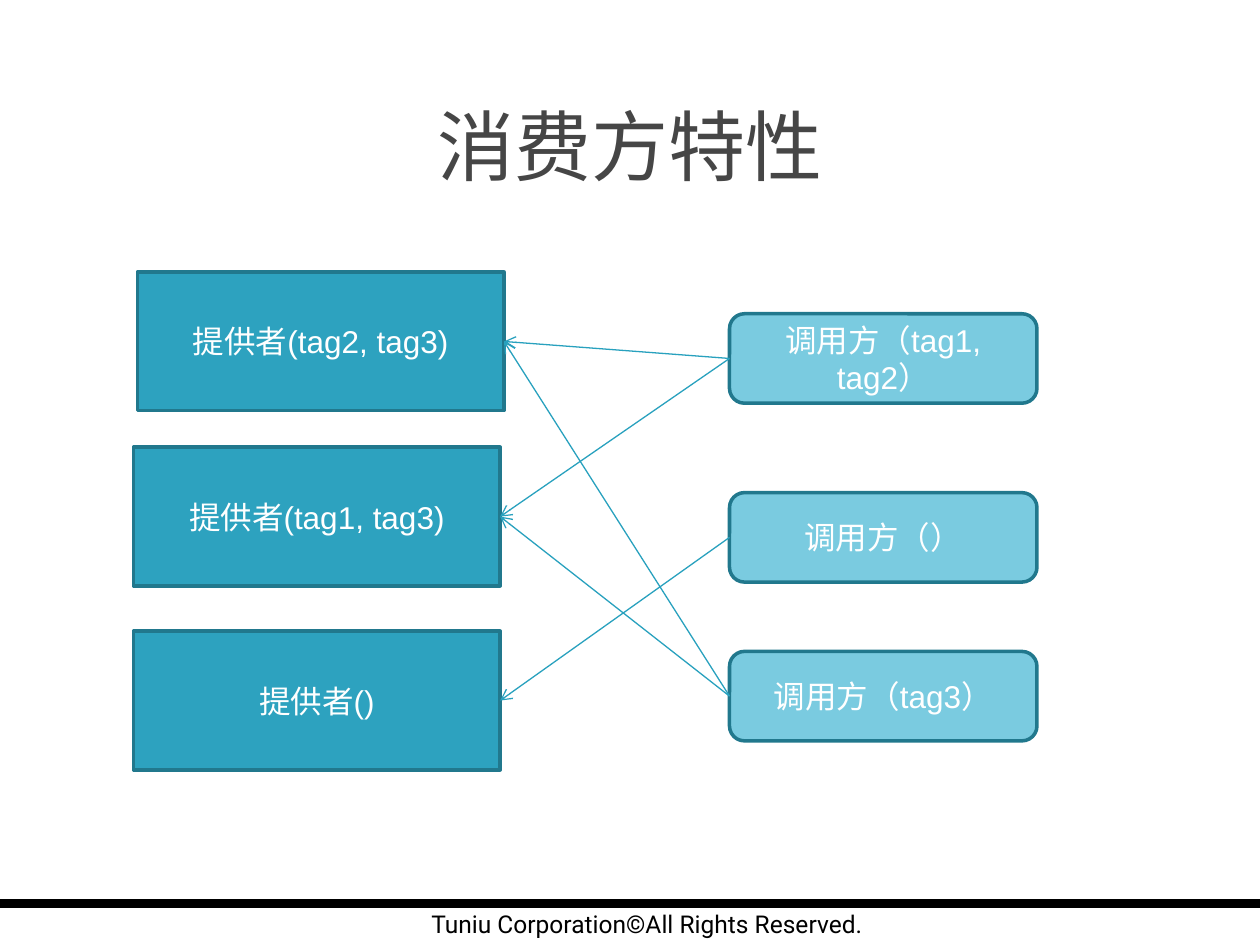
from dataclasses import dataclass

from pptx import Presentation
from pptx.dml.color import RGBColor
from pptx.enum.shapes import MSO_CONNECTOR, MSO_SHAPE
from pptx.enum.text import MSO_ANCHOR, PP_ALIGN
from pptx.oxml.ns import qn
from pptx.util import Inches, Pt
from lxml.etree import SubElement


@dataclass(frozen=True)
class Theme:
    title: str = "464646"
    provider: str = "2DA2BF"
    caller: str = "7ACBE0"
    outline: str = "21788D"
    arrow: str = "28A1BE"
    light: str = "FFFFFF"
    dark: str = "000000"
    font: str = "Arial"
    footer_font: str = "Roboto"
    title_size: int = 44
    label_size: int = 18
    footer_size: int = 14


theme = Theme()


def write(shape, text, font, size, color):
    frame = shape.text_frame
    frame.word_wrap = True
    frame.vertical_anchor = MSO_ANCHOR.MIDDLE
    frame.text = text
    para = frame.paragraphs[0]
    para.alignment = PP_ALIGN.CENTER
    span = para.runs[0]
    span.font.name = font
    span.font.size = Pt(size)
    span.font.color.rgb = RGBColor.from_string(color)


def add_line(page, color, width):
    line = page.shapes.add_connector(MSO_CONNECTOR.STRAIGHT, 0, Inches(7.17), Inches(10), Inches(7.17))
    line.line.color.rgb = RGBColor.from_string(color)
    line.line.width = Pt(width)
    SubElement(line._element.spPr, qn("a:effectLst"))
    return line


deck = Presentation()
deck.slide_width, deck.slide_height = Inches(10), Inches(7.5)
page = deck.slides.add_slide(deck.slide_layouts[5])

# Footer
add_line(page, theme.dark, 5)
footer = page.shapes.add_textbox(Inches(3), Inches(7.17), Inches(4.27), Inches(0.33))
write(footer, "Tuniu Corporation©All Rights Reserved.", theme.footer_font, theme.footer_size, theme.dark)

# Title
title = page.shapes.title
title.left, title.top, title.width, title.height = Inches(0.5), Inches(0.75), Inches(9), Inches(0.8)
write(title, "消费方特性", theme.font, theme.title_size, theme.title)

# Providers on the left, callers on the right
columns = [
    (MSO_SHAPE.RECTANGLE, theme.provider, 2.91, 1.1, [
        ("提供者(tag2, tag3)", 1.09, 2.16),
        ("提供者(tag1, tag3)", 1.06, 3.55),
        ("提供者()", 1.06, 5.01),
    ]),
    (MSO_SHAPE.ROUNDED_RECTANGLE, theme.caller, 2.44, 0.71, [
        ("调用方（tag1, tag2）", 5.79, 2.49),
        ("调用方（）", 5.79, 3.91),
        ("调用方（tag3）", 5.79, 5.17),
    ]),
]
boxes = []
for preset, fill, width, height, labels in columns:
    for label, left, top in labels:
        box = page.shapes.add_shape(preset, Inches(left), Inches(top), Inches(width), Inches(height))
        box.shadow.inherit = False
        box.fill.solid()
        box.fill.fore_color.rgb = RGBColor.from_string(fill)
        box.line.color.rgb = RGBColor.from_string(theme.outline)
        box.line.width = Pt(2)
        write(box, label, theme.font, theme.label_size, theme.light)
        boxes.append(box)
providers, callers = boxes[:3], boxes[3:]

# Arrows from each caller to the providers it may use
for caller, provider in [(0, 0), (0, 1), (2, 0), (2, 1), (1, 2)]:
    arrow = add_line(page, theme.arrow, 0.75)
    arrow.begin_connect(callers[caller], 1)
    arrow.end_connect(providers[provider], 3)
    SubElement(arrow.line._get_or_add_ln(), qn("a:tailEnd"), type="arrow")

deck.save("out.pptx")
